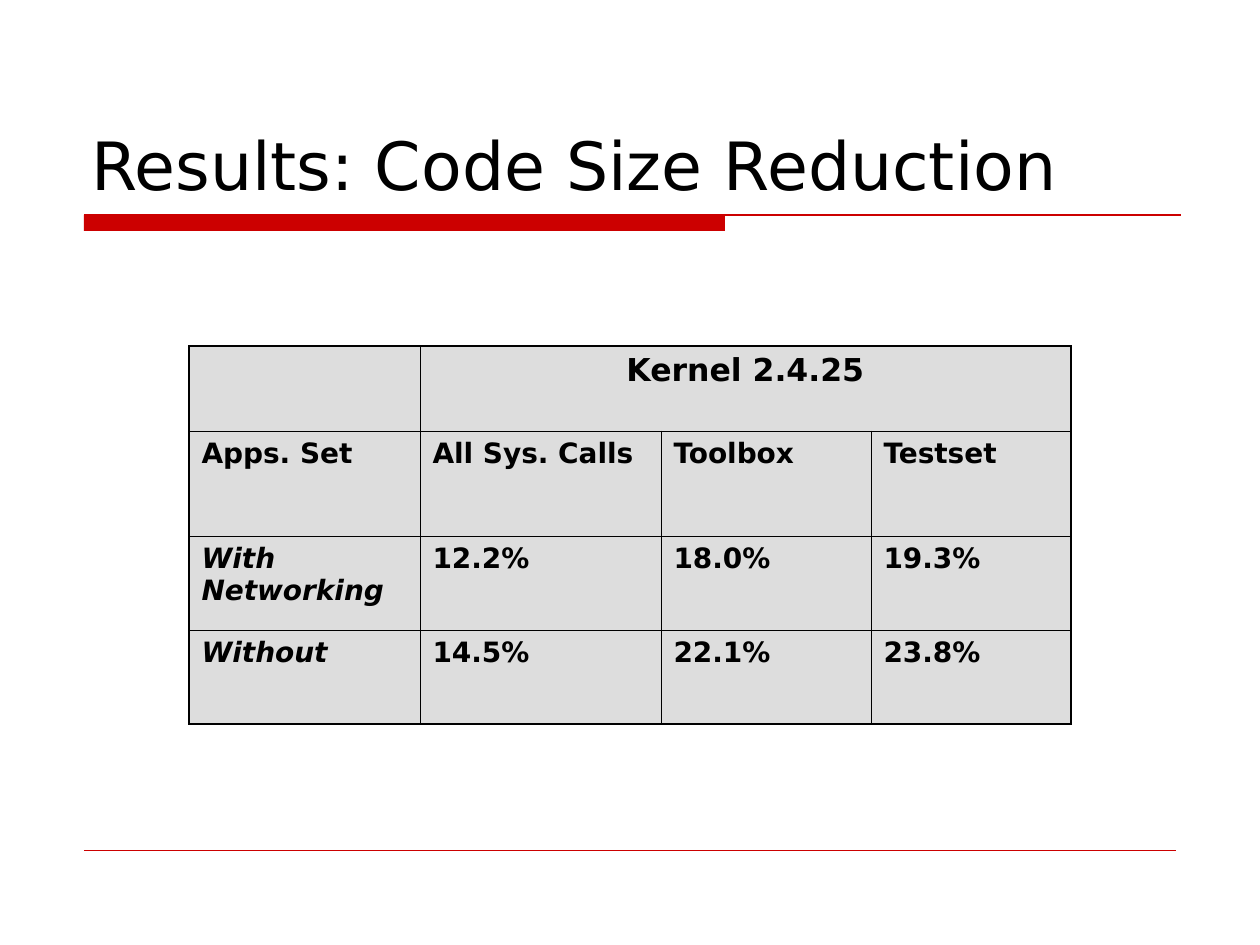
from dataclasses import dataclass

from lxml import etree
from pptx import Presentation
from pptx import util as u
from pptx.dml.color import RGBColor
from pptx.enum import shapes, text
from pptx.oxml import ns

PX_PER_INCH = 126


@dataclass(frozen=True)
class Theme:
    font: str = "DejaVu Sans"
    ink: str = "000000"
    accent: str = "CC0000"
    cell: str = "DDDDDD"
    title_pt: float = 38
    heading_pt: float = 18
    body_pt: float = 16
    rule_pt: float = 0.75
    footer_pt: float = 0.25
    outer_pt: float = 1.08
    inner_pt: float = 0.45


@dataclass(frozen=True)
class Rule:
    left: int
    right: int
    y: int
    width_pt: float


THEME = Theme()
RULES = (
    Rule(84, 1181, 215, THEME.rule_pt),
    Rule(84, 1176, 850, THEME.footer_pt),
)
COLUMNS = (231, 241, 210, 200)
ROWS = (85, 105, 94, 94)
RESULTS = (
    ("", "Kernel 2.4.25", "", ""),
    ("Apps. Set", "All Sys. Calls", "Toolbox", "Testset"),
    ("With Networking", "12.2%", "18.0%", "19.3%"),
    ("Without", "14.5%", "22.1%", "23.8%"),
)


def px(length: int) -> u.Emu:
    return u.Emu(round(length * 914400 / PX_PER_INCH))


def box(left: int, top: int, width: int, height: int) -> tuple:
    return tuple(px(length) for length in (left, top, width, height))


def write(frame, words: str, *, size: float, bold: bool = False, italic: bool = False,
          align=text.PP_ALIGN.LEFT, before: float = 0) -> None:
    frame.word_wrap = True
    paragraph = frame.paragraphs[0]
    paragraph.alignment = align
    paragraph.space_before = u.Pt(before)
    run = paragraph.add_run()
    run.text = words
    font = run.font
    font.name, font.size, font.bold, font.italic = THEME.font, u.Pt(size), bold, italic
    font.color.rgb = RGBColor.from_string(THEME.ink)


def draw_rule(slide, rule: Rule) -> None:
    line = slide.shapes.add_connector(
        shapes.MSO_CONNECTOR.STRAIGHT,
        px(rule.left), px(rule.y), px(rule.right), px(rule.y))
    line.line.color.rgb = RGBColor.from_string(THEME.accent)
    line.line.width = u.Pt(rule.width_pt)
    etree.SubElement(line._element.spPr, ns.qn("a:effectLst"))


def draw_title(slide) -> None:
    bar = slide.shapes.add_shape(shapes.MSO_SHAPE.RECTANGLE, *box(84, 215, 641, 16))
    bar.shadow.inherit = False
    bar.fill.solid()
    bar.fill.fore_color.rgb = RGBColor.from_string(THEME.accent)
    bar.line.fill.background()

    title = slide.shapes.add_textbox(*box(79, 42, 1103, 168)).text_frame
    title.vertical_anchor = text.MSO_ANCHOR.BOTTOM
    write(title, "Results: Code Size Reduction", size=THEME.title_pt)


def add_borders(cell, row: int, column: int) -> None:
    """Draw the table's outer edges heavier than its inner ones."""
    outer_edges = {
        "L": column == 0,
        "R": column + cell.span_width == len(COLUMNS),
        "T": row == 0,
        "B": row == len(ROWS) - 1,
    }
    properties = cell._tc.get_or_add_tcPr()
    for side, is_outer in outer_edges.items():
        width = u.Pt(THEME.outer_pt if is_outer else THEME.inner_pt)
        border = etree.SubElement(properties, ns.qn(f"a:ln{side}"), w=str(width))
        fill = etree.SubElement(border, ns.qn("a:solidFill"))
        etree.SubElement(fill, ns.qn("a:srgbClr"), val=THEME.ink)


def draw_results(slide) -> None:
    table = slide.shapes.add_table(
        len(ROWS), len(COLUMNS), *box(189, 346, sum(COLUMNS), sum(ROWS))).table
    table.first_row = table.horz_banding = False
    for column, width in zip(table.columns, COLUMNS):
        column.width = px(width)
    for row, height in zip(table.rows, ROWS):
        row.height = px(height)
    table.cell(0, 1).merge(table.cell(0, len(COLUMNS) - 1))

    for r, values in enumerate(RESULTS):
        for c, value in enumerate(values):
            cell = table.cell(r, c)
            add_borders(cell, r, c)
            cell.fill.solid()
            cell.fill.fore_color.rgb = RGBColor.from_string(THEME.cell)
            if not value:
                continue
            size = THEME.heading_pt if r == 0 else THEME.body_pt
            write(cell.text_frame, value, size=size, bold=True,
                  italic=c == 0 and r > 1, before=size / 4,
                  align=text.PP_ALIGN.CENTER if r == 0 else text.PP_ALIGN.LEFT)


def main() -> None:
    deck = Presentation()
    deck.slide_width, deck.slide_height = u.Inches(10), u.Inches(7.5)
    slide = deck.slides.add_slide(deck.slide_layouts[6])
    for rule in RULES:
        draw_rule(slide, rule)
    draw_title(slide)
    draw_results(slide)
    deck.save("out.pptx")


if __name__ == "__main__":
    main()
